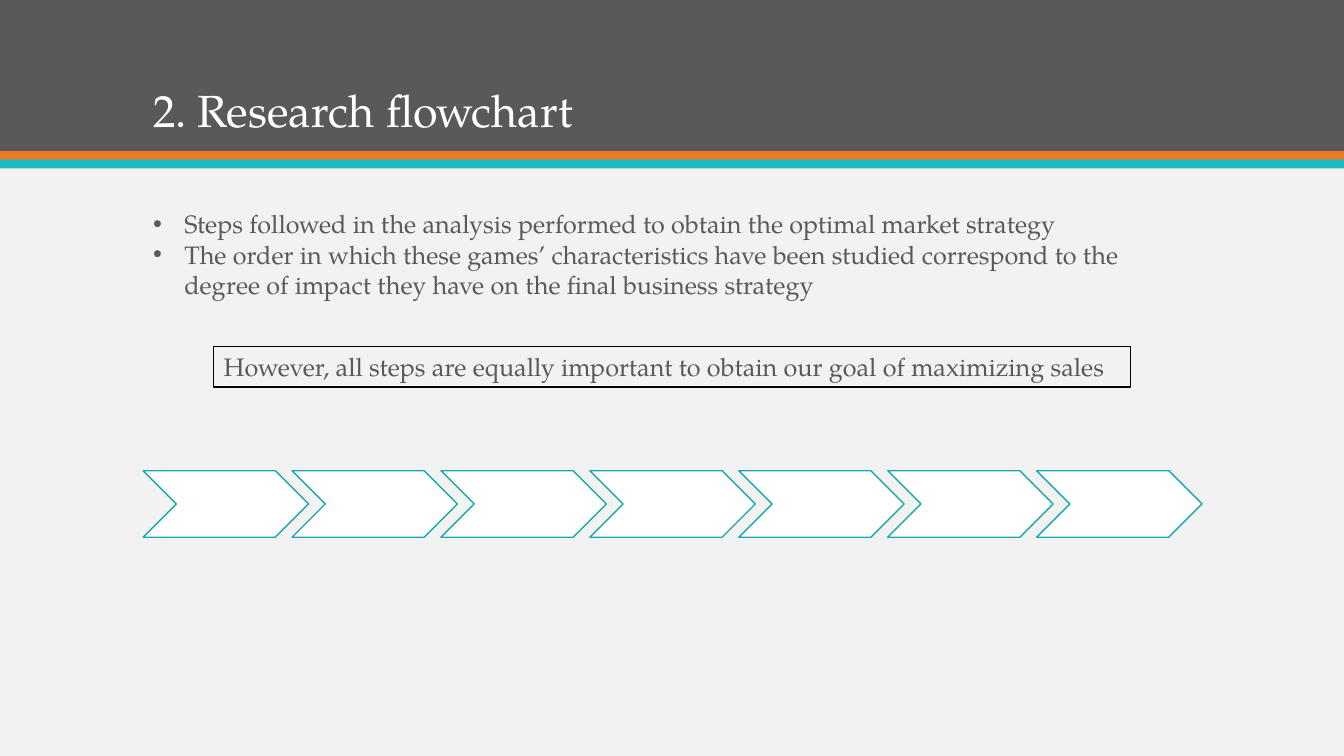
"""Build the research flowchart slide."""
from lxml import etree
from pptx import Presentation
from pptx.dml.color import RGBColor
from pptx.enum.shapes import MSO_SHAPE
from pptx.enum.text import MSO_ANCHOR, PP_ALIGN
from pptx.oxml.ns import qn
from pptx.util import Inches, Pt

RECTANGLE, CHEVRON = MSO_SHAPE.RECTANGLE, MSO_SHAPE.CHEVRON
TOP, BOTTOM = MSO_ANCHOR.TOP, MSO_ANCHOR.BOTTOM
LEFT = PP_ALIGN.LEFT
FONT = "TeX Gyre Pagella"
GRAY = RGBColor(0x59, 0x59, 0x59)
LIGHT = RGBColor(0xF2, 0xF2, 0xF2)
ORANGE = RGBColor(0xEF, 0x79, 0x20)
TURQUOISE = RGBColor(0x1E, 0xB8, 0xC1)
TEAL = RGBColor(0x1B, 0xA7, 0xAF)
WHITE = RGBColor(0xFF, 0xFF, 0xFF)
BLACK = RGBColor(0x00, 0x00, 0x00)

presentation = Presentation()
presentation.slide_width = Inches(13.33)
presentation.slide_height = Inches(7.5)
slide = presentation.slides.add_slide(presentation.slide_layouts[6])
slide.background.fill.solid()
slide.background.fill.fore_color.rgb = LIGHT


def add_shape(kind, left, top, width, height, fill, line=None):
    shape = slide.shapes.add_shape(
        kind, Inches(left), Inches(top), Inches(width), Inches(height))
    shape.shadow.inherit = False
    shape.fill.solid()
    shape.fill.fore_color.rgb = fill
    if line is None:
        shape.line.fill.background()
    else:
        shape.line.color.rgb = line
        shape.line.width = Pt(1)
    return shape


def add_text(text, left, top, width, height, size=18, color=GRAY,
             anchor=TOP, bullet=False, spacing=1.0):
    box = slide.shapes.add_textbox(
        Inches(left), Inches(top), Inches(width), Inches(height))
    frame = box.text_frame
    frame.word_wrap = True
    frame.vertical_anchor = anchor
    frame.text = text
    for paragraph in frame.paragraphs:
        paragraph.alignment = LEFT
        paragraph.line_spacing = spacing
        if bullet:
            properties = paragraph._p.get_or_add_pPr()
            properties.set("marL", str(Inches(0.31)))
            properties.set("indent", str(Inches(-0.31)))
            bullet_font = etree.SubElement(properties, qn("a:buFont"))
            bullet_font.set("typeface", "Arial")
            etree.SubElement(properties, qn("a:buChar")).set("char", "•")
        paragraph.font.name = FONT
        paragraph.font.size = Pt(size)
        paragraph.font.color.rgb = color
    return box


for top, height, color in [(0, 1.5, GRAY), (1.5, 0.09, ORANGE),
                           (1.58, 0.09, TURQUOISE)]:
    add_shape(RECTANGLE, 0, top, 13.33, height, color)

add_text("2. Research flowchart", 1.42, 0.28, 10.5, 1.13, size=32,
         color=WHITE, anchor=BOTTOM, spacing=0.9)

for step in range(7):
    add_shape(CHEVRON, 1.42 + step * 1.477, 4.67, 1.64, 0.66, WHITE, TEAL)

add_text("Steps followed in the analysis performed to obtain the optimal "
         "market strategy\n"
         "The order in which these games’ characteristics have been studied "
         "correspond to the degree of impact they have on the final business "
         "strategy", 1.42, 2.02, 10.5, 1.01, bullet=True)

remark = add_text("However, all steps are equally important to obtain our "
                  "goal of maximizing sales", 2.12, 3.44, 9.09, 0.4)
remark.line.color.rgb = BLACK
remark.line.width = Pt(0.75)

presentation.save("out.pptx")
